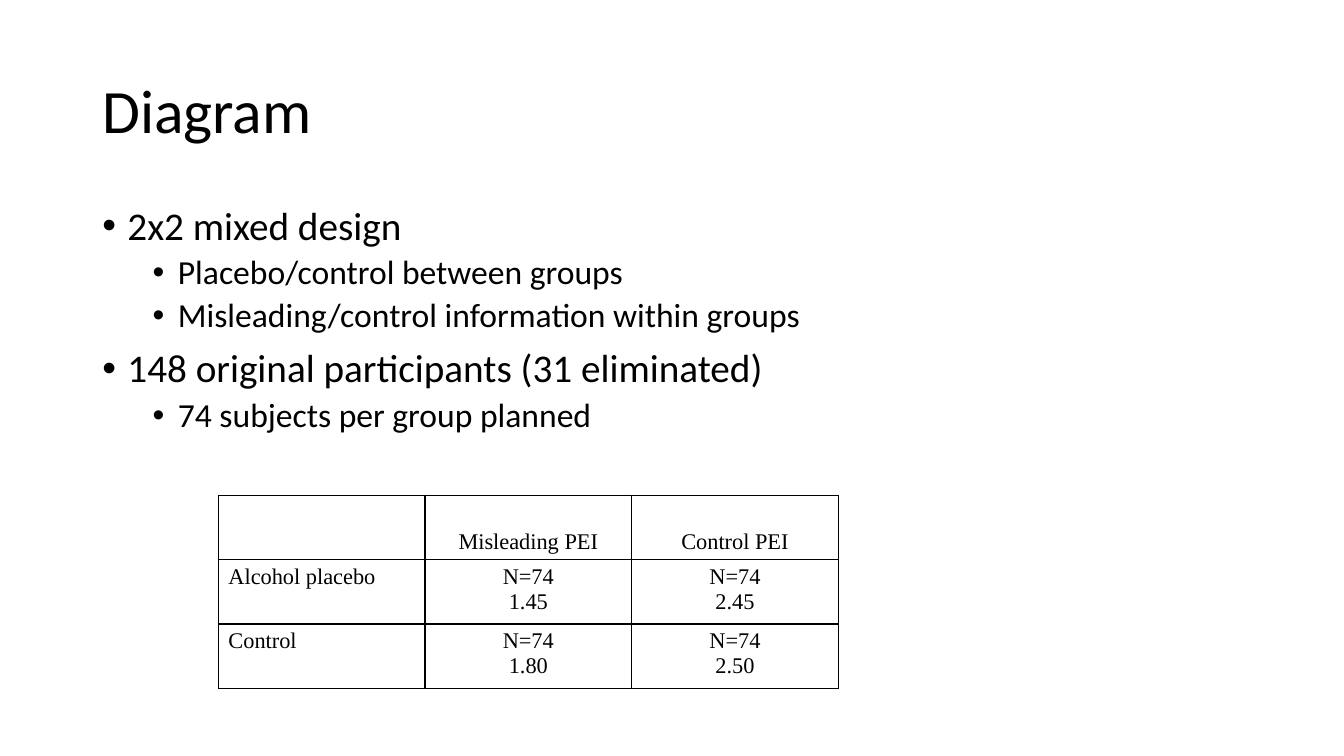
import pptx
import pptx.util
import pptx.dml.color
import pptx.enum.text
import pptx.oxml
import pptx.oxml.ns
from lxml import etree

Pt = pptx.util.Pt
ANCHOR = pptx.enum.text.MSO_ANCHOR
ALIGN = pptx.enum.text.PP_ALIGN

TITLE = "Diagram"
BULLETS = [
    (0, "2x2 mixed design"),
    (1, "Placebo/control between groups"),
    (1, "Misleading/control information within groups"),
    (0, "148 original participants (31 eliminated)"),
    (1, "74 subjects per group planned"),
]
GROUP_MEANS = [
    ["", "Misleading PEI", "Control PEI"],
    ["Alcohol placebo", "N=74\n1.45", "N=74\n2.45"],
    ["Control", "N=74\n1.80", "N=74\n2.50"],
]
BLACK, WHITE = "000000", "FFFFFF"
TITLE_BOX = (66, 28.75, 828, 104.4)
BODY_BOX = (66, 143.75, 828, 342.6)
TABLE_LEFT, TABLE_TOP = 156, 354
COLUMN_WIDTH, ROW_HEIGHT = 147.6, 45.84
LEVELS = [
    {"size": 28, "left": 18, "before": 10},
    {"size": 24, "left": 54, "before": 5},
]
HANGING = 18


def color(value):
    return pptx.dml.color.RGBColor.from_string(value)


def set_values(target, values):
    for name, value in values.items():
        setattr(target, name, value)


def write(paragraph, text, size, font="Calibri", **layout):
    set_values(paragraph, layout)
    run = paragraph.add_run()
    run.text = text
    set_values(run.font, {"size": Pt(size), "name": font})
    run.font.color.rgb = color(BLACK)


def add_text_frame(slide, box, anchor):
    frame = slide.shapes.add_textbox(*map(Pt, box)).text_frame
    set_values(frame, {"word_wrap": True, "vertical_anchor": anchor})
    return frame


def add_bullet(paragraph, left):
    properties = paragraph._p.get_or_add_pPr()
    properties.set("marL", str(Pt(left)))
    properties.set("indent", str(-Pt(HANGING)))
    for tag, attribute, value in (("a:buFont", "typeface", "Arial"), ("a:buChar", "char", "•")):
        etree.SubElement(properties, pptx.oxml.ns.qn(tag)).set(attribute, value)


def add_borders(cell):
    properties = cell._tc.get_or_add_tcPr()
    for position, side in enumerate(("lnL", "lnR", "lnT", "lnB")):
        properties.insert(position, pptx.oxml.parse_xml(
            f'<a:{side} {pptx.oxml.ns.nsdecls("a")} w="{Pt(1)}"><a:solidFill>'
            f'<a:srgbClr val="{BLACK}"/></a:solidFill></a:{side}>'))


def add_bullets(slide):
    frame = add_text_frame(slide, BODY_BOX, ANCHOR.TOP)
    for index, (level, text) in enumerate(BULLETS):
        paragraph = frame.add_paragraph() if index else frame.paragraphs[0]
        style = LEVELS[level]
        write(paragraph, text, style["size"], level=level, line_spacing=0.9,
              space_before=Pt(style["before"]))
        add_bullet(paragraph, style["left"])


def add_group_table(slide):
    rows, columns = len(GROUP_MEANS), len(GROUP_MEANS[0])
    table = slide.shapes.add_table(
        rows, columns, Pt(TABLE_LEFT), Pt(TABLE_TOP),
        Pt(COLUMN_WIDTH * columns), Pt(ROW_HEIGHT * rows)).table
    set_values(table, {"first_row": False, "horz_banding": False})
    for column in table.columns:
        column.width = Pt(COLUMN_WIDTH)
    for row_index, texts in enumerate(GROUP_MEANS):
        table.rows[row_index].height = Pt(ROW_HEIGHT)
        for column_index, text in enumerate(texts):
            cell = table.cell(row_index, column_index)
            cell.fill.solid()
            cell.fill.fore_color.rgb = color(WHITE)
            cell.vertical_anchor = ANCHOR.TOP if row_index else ANCHOR.BOTTOM
            add_borders(cell)
            for index, line in enumerate(text.splitlines()):
                frame = cell.text_frame
                paragraph = frame.add_paragraph() if index else frame.paragraphs[0]
                write(paragraph, line, 16, "Times New Roman",
                      alignment=ALIGN.CENTER if column_index else ALIGN.LEFT)


def main():
    presentation = pptx.Presentation()
    set_values(presentation, {"slide_width": Pt(960), "slide_height": Pt(540)})
    slide = presentation.slides.add_slide(presentation.slide_layouts[6])
    title = add_text_frame(slide, TITLE_BOX, ANCHOR.MIDDLE)
    write(title.paragraphs[0], TITLE, 44, line_spacing=0.9)
    add_bullets(slide)
    add_group_table(slide)
    presentation.save("out.pptx")


if __name__ == "__main__":
    main()
